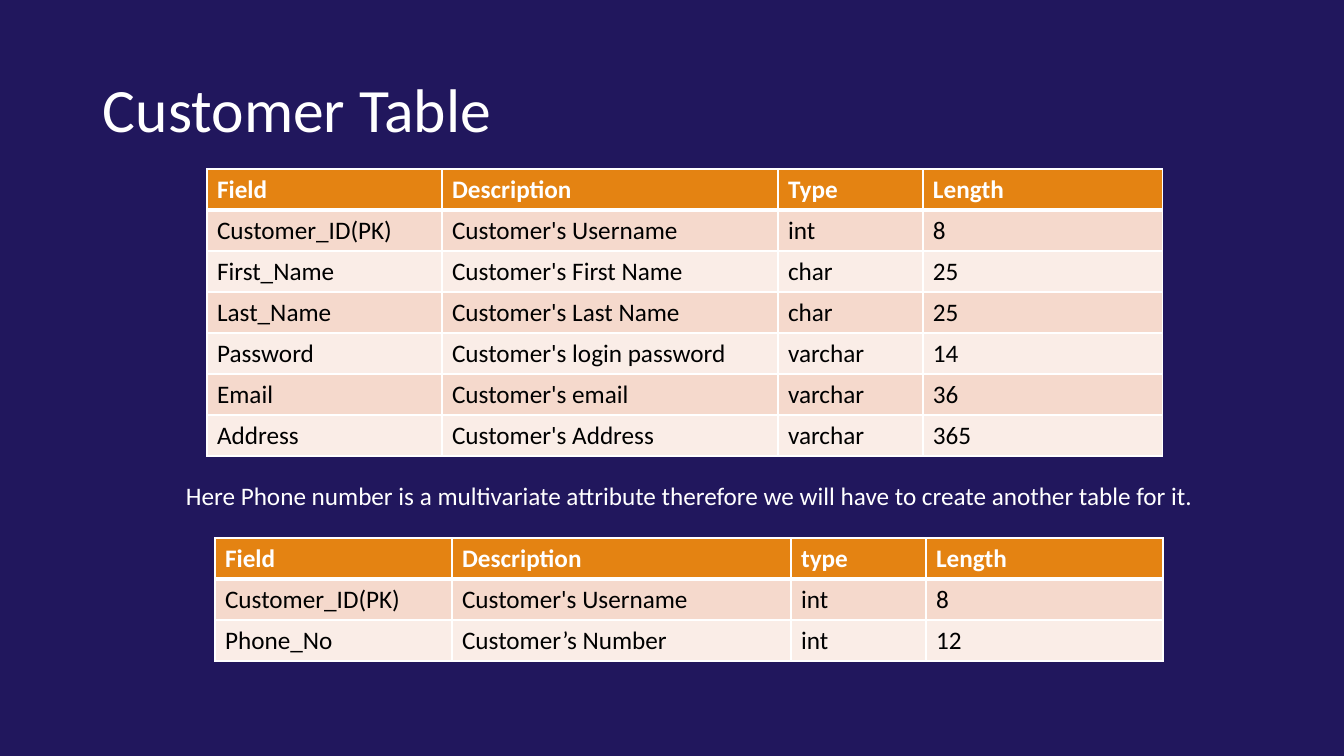
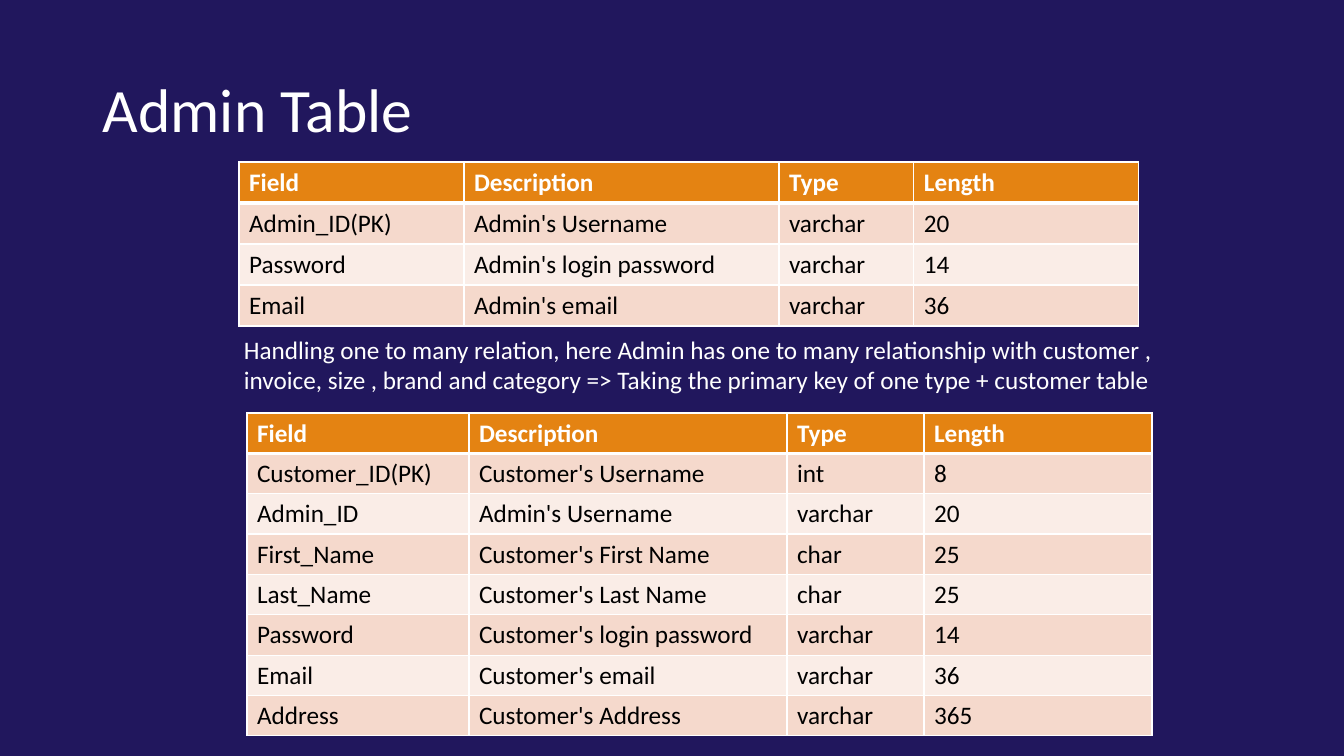
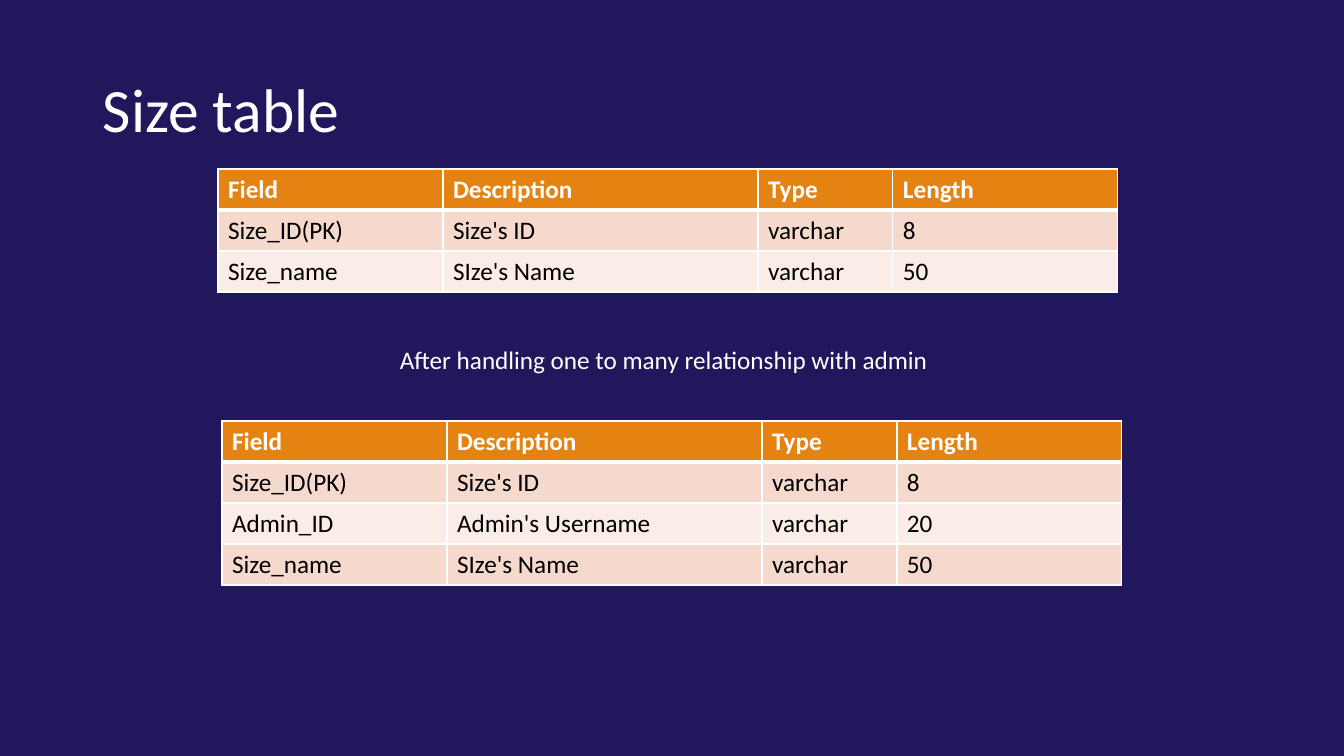
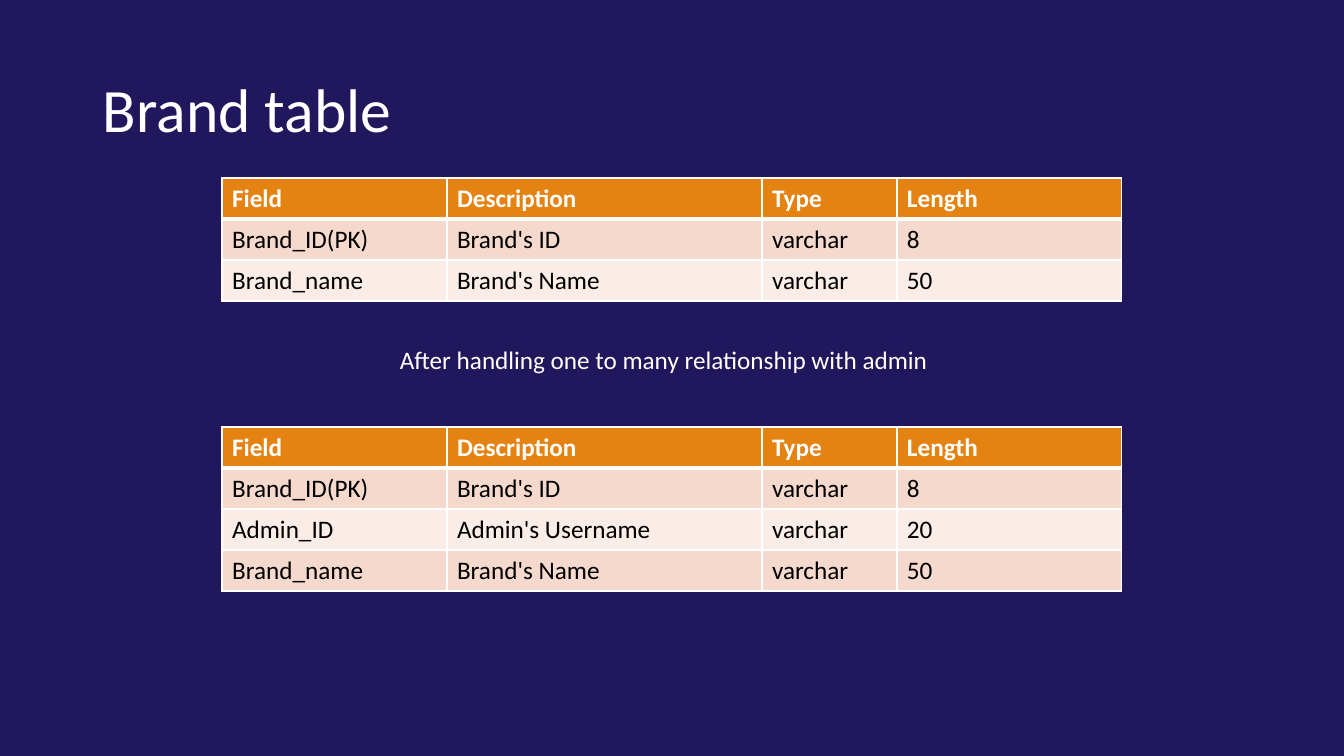
from lxml import etree
from pptx import Presentation
from pptx.dml.color import RGBColor
from pptx.enum.text import MSO_ANCHOR
from pptx.oxml.ns import qn
from pptx.util import Emu, Pt

MIDDLE = MSO_ANCHOR.MIDDLE
TOP = MSO_ANCHOR.TOP

NAVY = RGBColor(0x21, 0x17, 0x5D)
ORANGE = RGBColor(0xE4, 0x83, 0x12)
PEACH = RGBColor(0xF5, 0xD9, 0xCC)
PALE_PEACH = RGBColor(0xFA, 0xED, 0xE7)
WHITE = RGBColor(0xFF, 0xFF, 0xFF)
BLACK = RGBColor(0x00, 0x00, 0x00)
FONT = "Calibri"

SLIDE_WIDTH, SLIDE_HEIGHT = 1344, 756
EMU_PER_PX = 12192000 / SLIDE_WIDTH
TITLE_BOX = (93, 40, 1159, 146)
ROW_HEIGHT = 41
THIN, THICK = 1, 3
STANDARD_COLUMNS = (225, 315, 135, 225)

HEADER = ("Field", "Description", "Type", "Length")
CUSTOMER_ID = ("Customer_ID(PK)", "Customer's Username", "int", "8")
ADMIN_ID = ("Admin_ID", "Admin's Username", "varchar", "20")
CUSTOMER_DETAILS = [
    ("First_Name", "Customer's First Name", "char", "25"),
    ("Last_Name", "Customer's Last Name", "char", "25"),
    ("Password", "Customer's login password", "varchar", "14"),
    ("Email", "Customer's email", "varchar", "36"),
    ("Address", "Customer's Address", "varchar", "365"),
]
SIZE_ID = ("Size_ID(PK)", "Size's ID", "varchar", "8")
SIZE_NAME = ("Size_name", "SIze's Name", "varchar", "50")
BRAND_ID = ("Brand_ID(PK)", "Brand's ID", "varchar", "8")
BRAND_NAME = ("Brand_name", "Brand's Name", "varchar", "50")

ADMIN_NOTE = ("After handling one to many relationship with admin", (390, 339, 563, 40))

SLIDES = [
    {
        "title": "Customer Table",
        "note": ("Here Phone number is a multivariate attribute therefore we will "
                 "have to create another table for it.", (176, 475, 1102, 40)),
        "tables": [
            {"at": (207, 169), "columns": (235, 336, 145, 240),
             "rows": [HEADER, CUSTOMER_ID, *CUSTOMER_DETAILS]},
            {"at": (215, 538), "columns": (237, 339, 135, 237),
             "rows": [("Field", "Description", "type", "Length"), CUSTOMER_ID,
                      ("Phone_No", "Customer’s Number", "int", "12")]},
        ],
    },
    {
        "title": "Admin Table",
        "note": ("Handling one to many relation, here Admin has one to many "
                 "relationship with customer , invoice, size , brand and category "
                 "=> Taking the primary key of one type + customer table",
                 (234, 329, 1010, 72)),
        "tables": [
            {"at": (239, 162),
             "rows": [HEADER,
                      ("Admin_ID(PK)", "Admin's Username", "varchar", "20"),
                      ("Password", "Admin's login password", "varchar", "14"),
                      ("Email", "Admin's email", "varchar", "36")]},
            {"at": (247, 413), "columns": (222, 318, 137, 228), "row_height": 40,
             "rows": [HEADER, CUSTOMER_ID, ADMIN_ID, *CUSTOMER_DETAILS]},
        ],
    },
    {
        "title": "Size table",
        "note": ADMIN_NOTE,
        "tables": [
            {"at": (218, 169), "rows": [HEADER, SIZE_ID, SIZE_NAME]},
            {"at": (222, 421), "rows": [HEADER, SIZE_ID, ADMIN_ID, SIZE_NAME]},
        ],
    },
    {
        "title": "Brand table",
        "note": ADMIN_NOTE,
        "tables": [
            {"at": (222, 178), "rows": [HEADER, BRAND_ID, BRAND_NAME]},
            {"at": (222, 427), "rows": [HEADER, BRAND_ID, ADMIN_ID, BRAND_NAME]},
        ],
    },
]


def px(length):
    return Emu(round(length * EMU_PER_PX))


def write(frame, text, size=18, color=WHITE, bold=False, line_spacing=None):
    paragraph = frame.paragraphs[0]
    paragraph.line_spacing = line_spacing
    run = paragraph.add_run()
    run.text = text
    run.font.name = FONT
    run.font.size = Pt(size)
    run.font.bold = bold
    run.font.color.rgb = color


def add_text(slide, text, box, anchor=TOP, **text_format):
    frame = slide.shapes.add_textbox(*map(px, box)).text_frame
    frame.word_wrap = True
    frame.vertical_anchor = anchor
    write(frame, text, **text_format)


def set_borders(cell, top, bottom):
    """Draw white cell borders; top and bottom are widths in points."""
    properties = cell._tc.get_or_add_tcPr()
    for side, width in (("L", THIN), ("R", THIN), ("T", top), ("B", bottom)):
        line = etree.SubElement(properties, qn(f"a:ln{side}"), w=str(Pt(width)))
        fill = etree.SubElement(line, qn("a:solidFill"))
        etree.SubElement(fill, qn("a:srgbClr"), val=str(WHITE))


def add_field_table(slide, at, rows, columns=STANDARD_COLUMNS, row_height=ROW_HEIGHT):
    box = (*at, sum(columns), row_height * len(rows))
    table = slide.shapes.add_table(len(rows), len(columns), *map(px, box)).table
    table.first_row = table.horz_banding = False
    for column, width in zip(table.columns, columns):
        column.width = px(width)
    for number, values in enumerate(rows):
        table.rows[number].height = px(row_height)
        is_header = number == 0
        band = PEACH if number % 2 else PALE_PEACH
        for cell, value in zip(table.rows[number].cells, values):
            set_borders(cell, top=THICK if number == 1 else THIN,
                        bottom=THICK if is_header else THIN)
            cell.fill.solid()
            cell.fill.fore_color.rgb = ORANGE if is_header else band
            write(cell.text_frame, value, color=WHITE if is_header else BLACK,
                  bold=is_header)


def main():
    prs = Presentation()
    prs.slide_width, prs.slide_height = px(SLIDE_WIDTH), px(SLIDE_HEIGHT)
    background = prs.slide_master.background.fill
    background.solid()
    background.fore_color.rgb = NAVY
    blank = prs.slide_layouts[6]
    for content in SLIDES:
        slide = prs.slides.add_slide(blank)
        add_text(slide, content["title"], TITLE_BOX, anchor=MIDDLE, size=44,
                 line_spacing=0.9)
        for table in content["tables"]:
            add_field_table(slide, **table)
        add_text(slide, *content["note"])
    prs.save("out.pptx")


if __name__ == "__main__":
    main()
